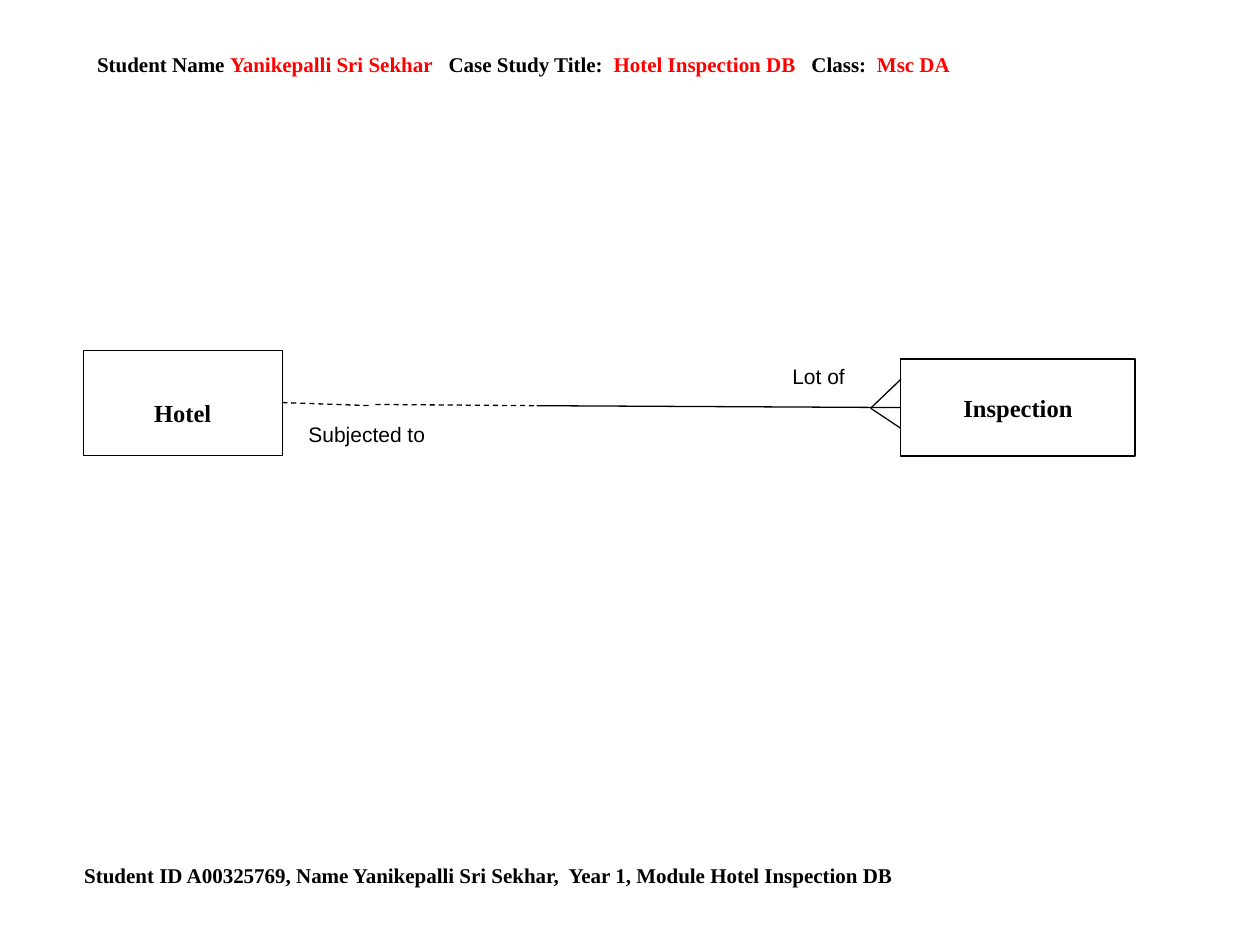
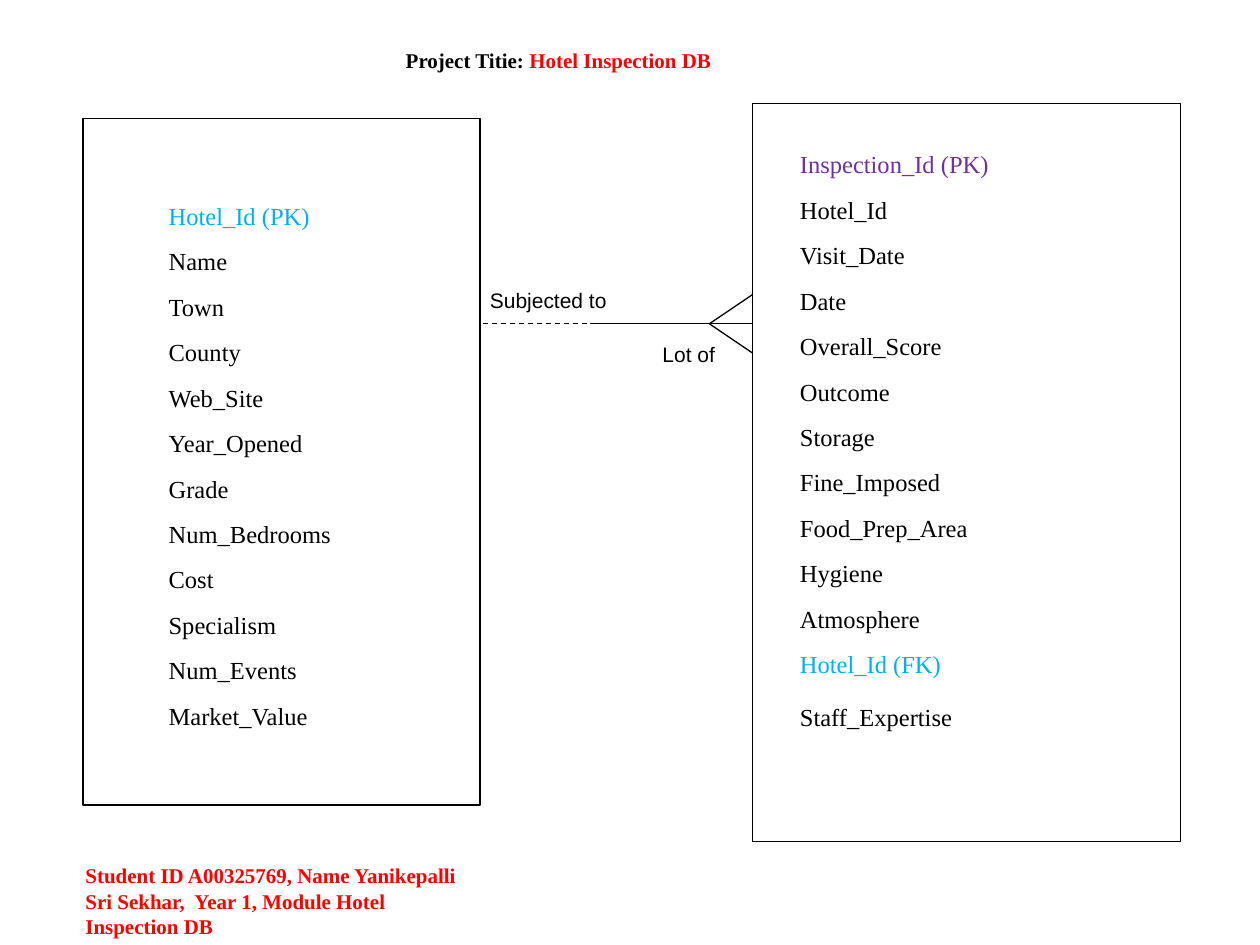
from dataclasses import dataclass

from lxml import etree
from pptx import Presentation
from pptx.dml.color import RGBColor
from pptx.enum.dml import MSO_LINE
from pptx.enum.shapes import MSO_CONNECTOR, MSO_SHAPE
from pptx.enum.text import MSO_ANCHOR, MSO_AUTO_SIZE, PP_ALIGN
from pptx.oxml.ns import qn
from pptx.util import Inches, Pt

RECTANGLE = MSO_SHAPE.RECTANGLE
STRAIGHT = MSO_CONNECTOR.STRAIGHT
DASH = MSO_LINE.DASH
TOP, MIDDLE = MSO_ANCHOR.TOP, MSO_ANCHOR.MIDDLE
LEFT, CENTER = PP_ALIGN.LEFT, PP_ALIGN.CENTER
NO_AUTOFIT = MSO_AUTO_SIZE.NONE
LEFT_SIDE, RIGHT_SIDE = 1, 3

COLORS = {
    "black": "000000",
    "white": "FFFFFF",
    "red": "FF0000",
    "blue": "00B0F0",
    "purple": "7030A0",
}
SERIF, SANS = "Times New Roman", "Arial"
TITLE_ONLY = 5
SLIDE_WIDTH, SLIDE_HEIGHT = Inches(10), Inches(7.5)
COLUMNS, ROWS = 100, 75
FOOTER = (
    "Student ID A00325769, Name Yanikepalli Sri Sekhar,  "
    "Year 1, Module Hotel Inspection DB"
)


@dataclass(frozen=True)
class Span:
    text: str
    color: str = "black"


@dataclass(frozen=True)
class Box:
    """A place on the slide, in grid columns and rows."""
    left: float
    top: float
    width: float
    height: float

    def lengths(self):
        return (across(self.left), down(self.top),
                across(self.width), down(self.height))


@dataclass(frozen=True)
class Point:
    column: float
    row: float


@dataclass(frozen=True)
class CrowFoot:
    """The 'many' end of a relationship: a tip and the two toes on the box."""
    tip: Point
    toe_column: float
    toe_rows: tuple[float, float]


def across(columns: float) -> int:
    return round(SLIDE_WIDTH * columns / COLUMNS)


def down(rows: float) -> int:
    return round(SLIDE_HEIGHT * rows / ROWS)


def rgb(name: str) -> RGBColor:
    return RGBColor.from_string(COLORS[name])


def write_text(frame, paragraphs: list[list[Span]], *, font=SERIF, size=12, bold=False,
               align=LEFT, anchor=TOP, line_spacing=None, space_after=(),
               tabs=()) -> None:
    """Fill a text frame; space_after has one value per paragraph, tabs are columns."""
    frame.word_wrap = True
    frame.auto_size = NO_AUTOFIT
    frame.vertical_anchor = anchor
    for index, spans in enumerate(paragraphs):
        paragraph = frame.paragraphs[0] if index == 0 else frame.add_paragraph()
        paragraph.alignment = align
        if line_spacing:
            paragraph.line_spacing = line_spacing
        if space_after:
            paragraph.space_after = Pt(space_after[index])
        if tabs:
            properties = paragraph._p.get_or_add_pPr()
            tab_list = etree.SubElement(properties, qn("a:tabLst"))
            for column in tabs:
                etree.SubElement(tab_list, qn("a:tab"), pos=str(across(column)), algn="l")
        for span in spans:
            run = paragraph.add_run()
            run.text = span.text
            run.font.name = font
            run.font.size = Pt(size)
            run.font.bold = bold
            run.font.color.rgb = rgb(span.color)


def add_title(slide, box: Box, spans: list[Span], tabs=()) -> None:
    title = slide.shapes.title
    title.left, title.top, title.width, title.height = box.lengths()
    write_text(title.text_frame, [spans], bold=True, tabs=tabs)


def add_text(slide, box: Box, paragraphs: list[list[Span]], **text_format) -> None:
    shape = slide.shapes.add_textbox(*box.lengths())
    write_text(shape.text_frame, paragraphs, **text_format)


def add_label(slide, box: Box, text: str) -> None:
    add_text(slide, box, [[Span(text)]], font=SANS)


def add_footer(slide, box: Box, color: str) -> None:
    add_text(slide, box, [[Span(FOOTER, color)]], bold=True)


def add_entity(slide, box: Box, name: str = "", *, line_width=0.75, top_inset=0.5):
    shape = slide.shapes.add_shape(RECTANGLE, *box.lengths())
    shape.shadow.inherit = False
    shape.fill.solid()
    shape.fill.fore_color.rgb = rgb("white")
    shape.line.color.rgb = rgb("black")
    shape.line.width = Pt(line_width)
    if name:
        shape.text_frame.margin_top = down(top_inset)
        write_text(shape.text_frame, [[Span(name)]], size=14, bold=True,
                   align=CENTER, anchor=MIDDLE)
    return shape


def add_attributes(slide, box: Box, attributes: list[Span], space_after) -> None:
    add_text(slide, box, [[attribute] for attribute in attributes], size=14,
             line_spacing=1.07, space_after=space_after)


def add_line(slide, start: Point, end: Point, *, dashed=False):
    line = slide.shapes.add_connector(
        STRAIGHT, across(start.column), down(start.row), across(end.column), down(end.row))
    line.line.color.rgb = rgb("black")
    line.line.width = Pt(0.75)
    if dashed:
        line.line.dash_style = DASH
    etree.SubElement(line._element.spPr, qn("a:effectLst"))
    return line


def add_crow_foot(slide, foot: CrowFoot) -> None:
    for row in foot.toe_rows:
        add_line(slide, foot.tip, Point(foot.toe_column, row))


def build_entities_slide(presentation) -> None:
    slide = presentation.slides.add_slide(presentation.slide_layouts[TITLE_ONLY])
    add_title(slide, Box(6.7, 3.6, 87.4, 3), [
        Span("Student Name "),
        Span("Yanikepalli Sri Sekhar", "red"),
        Span("\tCase Study Title:"),
        Span("\tHotel Inspection DB", "red"),
        Span("\tClass:"),
        Span("\tMsc DA", "red"),
    ], tabs=(27.9, 41, 56.7, 61.9))

    hotel = add_entity(slide, Box(6.6, 27.8, 15.8, 8.3), "Hotel",
                       line_width=0.25, top_inset=2.1)
    inspection = add_entity(slide, Box(71.5, 28.5, 18.6, 7.7), "Inspection")

    optional_end = add_line(slide, Point(22.4, 32.2), Point(29.5, 32.2), dashed=True)
    optional_end.begin_connect(hotel, RIGHT_SIDE)
    add_line(slide, Point(29.8, 32.1), Point(42.5, 32.2), dashed=True)
    mandatory_end = add_line(slide, Point(42.6, 32.2), Point(71.5, 32.4))
    mandatory_end.end_connect(inspection, LEFT_SIDE)
    add_crow_foot(slide, CrowFoot(Point(69.1, 32.4), 71.5, (30.1, 34)))

    add_label(slide, Box(23.5, 33, 12.4, 3), "Subjected to")
    add_label(slide, Box(61.9, 28.4, 8.6, 3), "Lot of")
    add_footer(slide, Box(5.7, 68, 70, 3), "black")


def build_attributes_slide(presentation) -> None:
    slide = presentation.slides.add_slide(presentation.slide_layouts[TITLE_ONLY])
    add_title(slide, Box(31.2, 3.3, 30, 3),
              [Span("Project Titie: "), Span("Hotel Inspection DB", "red")])

    add_entity(slide, Box(6.6, 9.4, 31.5, 54.5))
    hotel_attributes = [Span("Hotel_Id (PK)", "blue")] + [Span(name) for name in (
        "Name", "Town", "County", "Web_Site", "Year_Opened", "Grade",
        "Num_Bedrooms", "Cost", "Specialism", "Num_Events", "Market_Value")]
    add_attributes(slide, Box(12.4, 15.3, 24.3, 46.6), hotel_attributes,
                   [8] * len(hotel_attributes))

    add_entity(slide, Box(59.7, 8.2, 34, 58.6))
    inspection_attributes = [
        Span("Inspection_Id (PK)", "purple"),
        *(Span(name) for name in (
            "Hotel_Id", "Visit_Date", "Date", "Overall_Score", "Outcome", "Storage",
            "Fine_Imposed", "Food_Prep_Area", "Hygiene", "Atmosphere")),
        Span("Hotel_Id (FK)", "blue"),
        Span("Staff_Expertise"),
    ]
    # The last attribute stands slightly apart from the foreign key.
    add_attributes(slide, Box(62.5, 11.2, 27.8, 51.6), inspection_attributes,
                   [8] * (len(inspection_attributes) - 2) + [12, 8])

    middle = 25.7
    add_line(slide, Point(38.3, middle), Point(46.8, middle), dashed=True)
    add_line(slide, Point(46.8, middle), Point(59.7, middle))
    add_crow_foot(slide, CrowFoot(Point(56.3, middle), 59.7, (middle - 2.3, middle + 2.3)))

    add_label(slide, Box(37.9, 22.3, 11.6, 3), "Subjected to")
    add_label(slide, Box(51.6, 26.6, 8.6, 3), "Lot of")
    add_footer(slide, Box(5.8, 68, 32.4, 7), "red")


def main() -> None:
    presentation = Presentation()
    presentation.slide_width, presentation.slide_height = SLIDE_WIDTH, SLIDE_HEIGHT
    build_entities_slide(presentation)
    build_attributes_slide(presentation)
    presentation.save("out.pptx")


if __name__ == "__main__":
    main()
